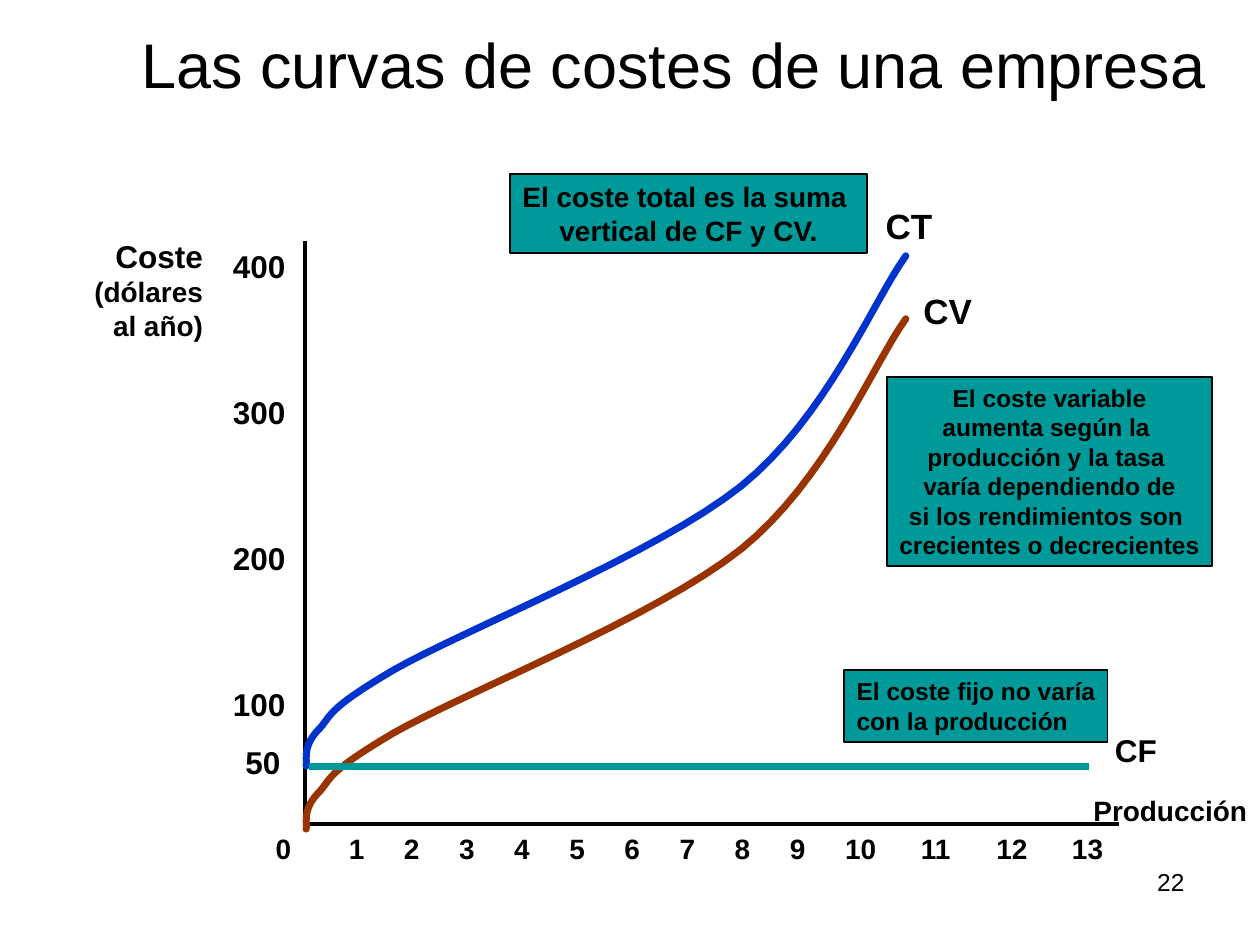
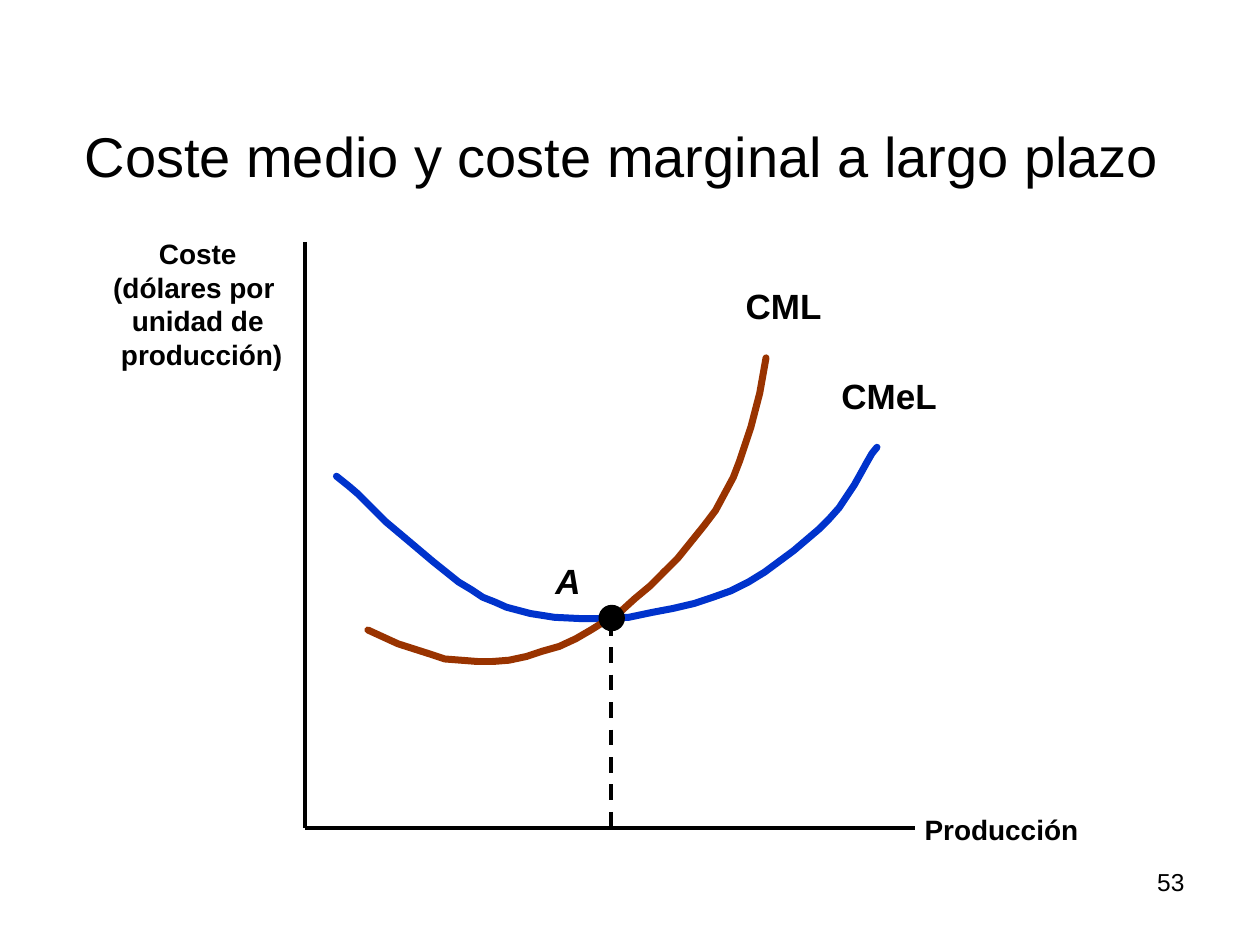
from dataclasses import dataclass

import pptx
import pptx.dml.color
import pptx.enum.dml
import pptx.enum.shapes
import pptx.enum.text
import pptx.oxml.ns
import pptx.util
from lxml import etree

Inches = pptx.util.Inches
Pt = pptx.util.Pt
RGBColor = pptx.dml.color.RGBColor
ALIGN = pptx.enum.text.PP_ALIGN
ANCHOR = pptx.enum.text.MSO_ANCHOR
AUTO_SIZE = pptx.enum.text.MSO_AUTO_SIZE
SHAPE = pptx.enum.shapes.MSO_SHAPE

BLACK = RGBColor(0x00, 0x00, 0x00)
TEAL = RGBColor(0x00, 0x99, 0x99)
BROWN = RGBColor(0x99, 0x33, 0x00)
BLUE = RGBColor(0x00, 0x33, 0xCC)
FONT = "Arial"
CURVE_WIDTH = 4

VARIABLE_COST = [
    (0, 4.05), (0.01, 4), (-0.03, 3.9), (0.09, 3.77), (0.21, 3.65),
    (0.13, 3.62), (0.69, 3.29), (1.25, 2.97), (2.77, 2.37), (3.45, 1.83),
    (4.13, 1.28), (4.49, 0.38), (4.76, 0),
]
AVERAGE_COST = [
    (0, 0.23), (0.05, 0.27), (0.1, 0.31), (0.17, 0.37), (0.23, 0.43),
    (0.39, 0.59), (0.58, 0.75), (0.77, 0.91), (0.97, 1.07), (1.07, 1.13),
    (1.16, 1.19), (1.26, 1.23), (1.35, 1.27), (1.54, 1.32), (1.73, 1.35),
    (1.93, 1.36), (2.12, 1.36), (2.32, 1.35), (2.51, 1.31), (2.67, 1.28),
    (2.84, 1.24), (2.99, 1.19), (3.13, 1.14), (3.27, 1.07), (3.4, 0.99),
    (3.63, 0.82), (3.83, 0.65), (3.91, 0.57), (3.99, 0.48), (4.11, 0.3),
    (4.16, 0.21), (4.21, 0.12), (4.25, 0.05), (4.29, 0),
]
MARGINAL_COST = [
    (0, 2.16), (0.24, 2.27), (0.49, 2.35), (0.61, 2.39), (0.74, 2.4),
    (0.87, 2.41), (0.99, 2.41), (1.12, 2.4), (1.26, 2.37), (1.38, 2.33),
    (1.52, 2.29), (1.65, 2.23), (1.77, 2.16), (2.01, 2.01), (2.12, 1.91),
    (2.24, 1.81), (2.35, 1.7), (2.46, 1.59), (2.67, 1.33), (2.76, 1.21),
    (2.83, 1.08), (2.9, 0.95), (2.95, 0.82), (3.04, 0.55), (3.11, 0.28),
    (3.16, 0),
]


@dataclass
class Box:
    left: float
    top: float
    width: float
    height: float

    def inner(self, dx, dy, width, height):
        return Box(self.left + dx, self.top + dy, width, height)

    def lengths(self):
        return [Inches(v) for v in (self.left, self.top, self.width, self.height)]


def write(tf, lines, size, bold=True, italic=False, align=ALIGN.LEFT, first_size=None):
    for i, text in enumerate(lines):
        p = tf.paragraphs[0] if i == 0 else tf.add_paragraph()
        p.alignment = align
        r = p.add_run()
        r.text = text
        r.font.name = FONT
        r.font.size = Pt(first_size if first_size and i == 0 else size)
        r.font.bold = bold
        r.font.italic = italic
        r.font.color.rgb = BLACK


def add_label(slide, box, lines, size, **style):
    tf = slide.shapes.add_textbox(*box.lengths()).text_frame
    tf.word_wrap = False
    write(tf, lines, size, **style)


def add_callout(slide, box, lines, size, align=ALIGN.CENTER):
    sp = slide.shapes.add_shape(SHAPE.RECTANGLE, *box.lengths())
    sp.shadow.inherit = False
    sp.fill.solid()
    sp.fill.fore_color.rgb = TEAL
    sp.line.color.rgb = BLACK
    sp.line.width = Pt(1)
    tf = sp.text_frame
    tf.word_wrap = False
    tf.vertical_anchor = ANCHOR.TOP
    write(tf, lines, size, align=align)


def add_line(slide, box, color=BLACK, width=2, dash=None):
    cx = slide.shapes.add_connector(
        pptx.enum.shapes.MSO_CONNECTOR.STRAIGHT,
        Inches(box.left), Inches(box.top),
        Inches(box.left + box.width), Inches(box.top + box.height))
    cx.line.color.rgb = color
    cx.line.width = Pt(width)
    if dash:
        cx.line.dash_style = dash
    etree.SubElement(cx._element.spPr, pptx.oxml.ns.qn("a:effectLst"))


def add_curve(slide, plot, dx, dy, points, color):
    path_points = [(Inches(plot.left + dx + x), Inches(plot.top + dy + y))
                   for x, y in points]
    builder = slide.shapes.build_freeform(*path_points[0])
    builder.add_line_segments(path_points[1:], close=False)
    sp = builder.convert_to_shape()
    sp.shadow.inherit = False
    sp.fill.background()
    sp.line.color.rgb = color
    sp.line.width = Pt(CURVE_WIDTH)
    ln = sp.line._ln
    ln.set("cap", "rnd")
    etree.SubElement(ln, pptx.oxml.ns.qn("a:round"))


def bezier(controls, steps=16):
    points = [controls[0]]
    for i in range(0, len(controls) - 1, 3):
        segment = controls[i:i + 4]
        for n in range(1, steps + 1):
            t = n / steps
            weights = ((1 - t) ** 3, 3 * t * (1 - t) ** 2, 3 * t * t * (1 - t), t ** 3)
            points.append(tuple(sum(w * c[axis] for w, c in zip(weights, segment))
                                for axis in (0, 1)))
    return points


def add_axes(slide, plot):
    add_line(slide, plot.inner(0, 0, 0, plot.height))
    add_line(slide, plot.inner(0, plot.height, plot.width, 0))


def add_ticks(slide, plot):
    for k in range(4):
        add_label(slide, plot.inner(-0.67, 3.48 - 1.16 * k, 0.64, 0.4),
                  [str(100 * (k + 1))], 18)
    add_label(slide, plot.inner(-0.57, 3.94, 0.5, 0.4), ["50"], 18)
    offsets = [-0.33]
    offsets += [0.25 + 3.5 / 8 * k for k in range(9)]
    offsets += [4.19 + 0.6 * k for k in range(4)]
    for n, dx in enumerate(offsets):
        width = 0.34 if n < 10 else 0.5
        add_label(slide, plot.inner(dx, 4.64, width, 0.36), [str(n)], 16)


def add_frame(prs, title, box, size, number):
    slide = prs.slides.add_slide(prs.slide_layouts[5])
    sp = slide.shapes.title
    sp.left, sp.top, sp.width, sp.height = box.lengths()
    tf = sp.text_frame
    tf.auto_size = AUTO_SIZE.NONE
    tf.word_wrap = True
    tf.vertical_anchor = ANCHOR.BOTTOM
    write(tf, [title], size, bold=False, align=ALIGN.CENTER)
    add_label(slide, Box(7.17, 6.83, 2.33, 0.52), [str(number)], 14,
              bold=False, align=ALIGN.RIGHT)
    return slide


def draw_cost_curves(slide, plot):
    add_axes(slide, plot)
    add_label(slide, plot.inner(6.16, 4.34, 1.42, 0.36), ["Producción"], 16)
    add_label(slide, plot.inner(-1.77, -0.08, 1.06, 0.93),
              ["Coste", "(dólares", "al año)"], 16, first_size=18, align=ALIGN.RIGHT)
    add_ticks(slide, plot)
    cost_points = bezier(VARIABLE_COST)
    add_curve(slide, plot, 0.01, 0.62, cost_points, BROWN)
    add_curve(slide, plot, 0.01, 0.12, cost_points, BLUE)
    add_line(slide, plot.inner(0.03, 4.17, 6.19, 0), TEAL, CURVE_WIDTH)
    add_label(slide, plot.inner(4.81, 0.34, 0.59, 0.43), ["CV"], 20)
    add_label(slide, plot.inner(4.51, -0.34, 0.57, 0.43), ["CT"], 20)
    add_label(slide, plot.inner(6.33, 3.84, 0.61, 0.4), ["CF"], 18)
    add_callout(slide, plot.inner(4.62, 1.08, 2.58, 1.5),
                ["El coste variable", "aumenta según la ", "producción y la tasa ",
                 " varía dependiendo de ", "si los rendimientos son ",
                 "crecientes o decrecientes"], 14)
    add_callout(slide, plot.inner(1.63, -0.53, 2.83, 0.63),
                ["El coste total es la suma ", "vertical de CF y CV."], 16)
    add_callout(slide, plot.inner(4.28, 3.41, 2.09, 0.57),
                ["El coste fijo no varía", "con la producción"], 14, ALIGN.LEFT)


def draw_long_run_costs(slide, plot):
    add_axes(slide, plot)
    add_label(slide, plot.inner(4.82, 4.48, 1.42, 0.36), ["Producción"], 16)
    add_label(slide, plot.inner(-1.62, -0.09, 1.54, 1.16),
              ["Coste", "(dólares por ", "unidad de", " producción)"], 16,
              align=ALIGN.CENTER)
    add_curve(slide, plot, 0.25, 1.63, AVERAGE_COST, BLUE)
    add_label(slide, plot.inner(4.16, 1, 0.96, 0.43), ["CMeL"], 20)
    add_curve(slide, plot, 0.5, 0.92, MARGINAL_COST, BROWN)
    add_label(slide, plot.inner(3.4, 0.29, 0.8, 0.43), ["CML"], 20)
    add_line(slide, plot.inner(2.43, 3, 0, 1.68), width=2.25,
             dash=pptx.enum.dml.MSO_LINE.DASH)
    add_label(slide, plot.inner(1.89, 2.47, 0.4, 0.43), ["A"], 20, italic=True)
    dot = slide.shapes.add_shape(SHAPE.OVAL, *plot.inner(2.33, 2.88, 0.21, 0.21).lengths())
    dot.shadow.inherit = False
    dot.fill.solid()
    dot.fill.fore_color.rgb = BLACK
    dot.line.fill.background()


def main():
    prs = pptx.Presentation()
    prs.slide_width, prs.slide_height = Inches(10), Inches(7.5)
    slide = add_frame(prs, "Las curvas de costes de una empresa",
                      Box(0.69, 0, 9.31, 0.85), 36, 22)
    draw_cost_curves(slide, Box(2.42, 1.91, 6.46, 4.63))
    slide = add_frame(prs, "Coste medio y coste marginal a largo plazo ",
                      Box(0.5, 0.3, 9, 1.25), 32, 53)
    draw_long_run_costs(slide, Box(2.42, 1.92, 4.84, 4.65))
    prs.save("out.pptx")


if __name__ == "__main__":
    main()
